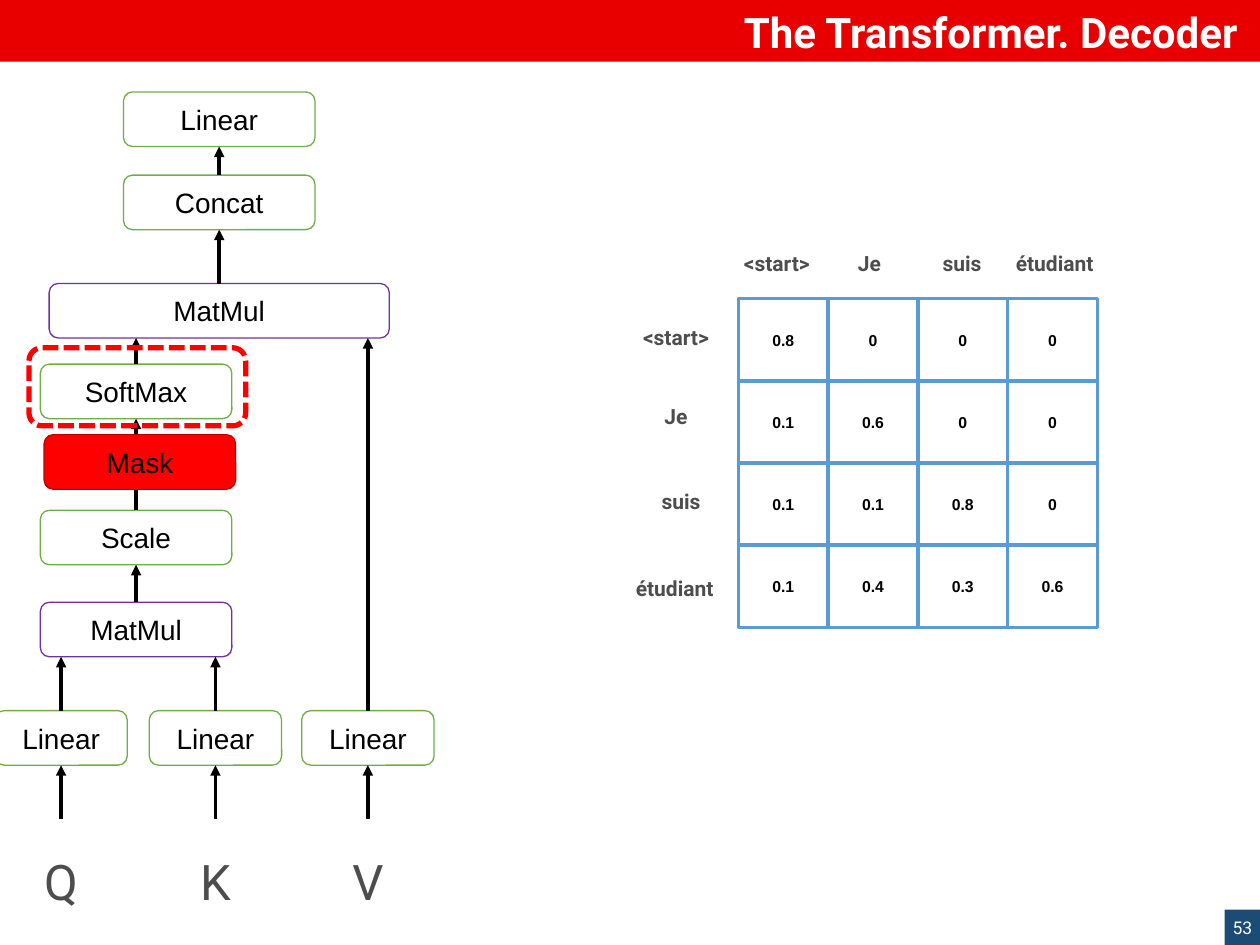
from dataclasses import dataclass

from lxml.etree import SubElement
from pptx import Presentation
from pptx.dml.color import RGBColor
from pptx.enum.dml import MSO_LINE_DASH_STYLE as Dash
from pptx.enum.shapes import MSO_CONNECTOR as Connector, MSO_SHAPE as Shape
from pptx.enum.text import MSO_ANCHOR as Anchor, PP_ALIGN as Align
from pptx.oxml.ns import qn
from pptx.util import Inches, Pt

COLORS = {
    "header": "E80000", "badge": "1C4C76", "white": "FFFFFF", "black": "000000",
    "green": "70AD47", "purple": "7030A0", "red": "FF0000", "dark_red": "C00000",
    "blue": "5B9BD5", "gray": "4D4D4D",
}
COLUMNS, ROWS = 100, 75
WIDTH, HEIGHT = Inches(10), Inches(7.5)
TOP, BOTTOM = 0, 2

WORDS = ["<start>", "Je", "suis", "étudiant"]
WEIGHTS = [
    ["0.8", "0", "0", "0"],
    ["0.1", "0.6", "0", "0"],
    ["0.1", "0.1", "0.8", "0"],
    ["0.1", "0.4", "0.3", "0.6"],
]


@dataclass
class Box:
    """A rectangle measured in columns and rows of the slide grid."""
    left: float
    top: float
    width: float
    height: float

    def inner(self, left, top, width, height):
        return Box(self.left + left, self.top + top, width, height)

    def emu(self):
        return (*grid_point(self.left, self.top), *grid_point(self.width, self.height))


def grid_point(column, row):
    return round(column * WIDTH / COLUMNS), round(row * HEIGHT / ROWS)


def rgb(name):
    return RGBColor.from_string(COLORS[name])


def write(shape, text, size, font="Arial", color="black", bold=False,
          align=Align.CENTER, anchor=Anchor.MIDDLE):
    frame = shape.text_frame
    frame.word_wrap = True
    frame.vertical_anchor = anchor
    frame.text = text
    para = frame.paragraphs[0]
    para.alignment = align
    for span in para.runs:
        span.font.name = font
        span.font.size = Pt(size)
        span.font.bold = bold
        span.font.color.rgb = rgb(color)


def add_label(page, box, text, size, **style):
    label = page.shapes.add_textbox(*box.emu())
    write(label, text, size, font="Roboto", **style)


def add_block(page, box, kind, fill=None, line=None, line_width=0.75):
    block = page.shapes.add_shape(kind, *box.emu())
    block.shadow.inherit = False
    if fill:
        block.fill.solid()
        block.fill.fore_color.rgb = rgb(fill)
    else:
        block.fill.background()
    if line:
        block.line.color.rgb = rgb(line)
        block.line.width = Pt(line_width)
    else:
        block.line.fill.background()
    return block


def add_arrow(page, column, start_row, end_row, source=None, target=None):
    """Draw an upward arrow, joined to the source's top and the target's bottom."""
    arrow = page.shapes.add_connector(
        Connector.STRAIGHT, *grid_point(column, start_row), *grid_point(column, end_row))
    if source is not None:
        arrow.begin_connect(source, TOP)
    if target is not None:
        arrow.end_connect(target, BOTTOM)
    arrow.line.color.rgb = rgb("black")
    arrow.line.width = Pt(2)
    properties = arrow._element.spPr
    SubElement(properties.find(qn("a:ln")), qn("a:tailEnd"), type="triangle")
    SubElement(properties, qn("a:effectLst"))


def draw_header(page, box):
    add_block(page, box, Shape.RECTANGLE, fill="header")
    add_label(page, box.inner(14.2, 1, 85, 3.3), "The Transformer. Decoder", 24,
              color="white", bold=True, align=Align.RIGHT)


def draw_page_number(page, box):
    badge = add_block(page, box, Shape.RECTANGLE, fill="badge")
    write(badge, "53", 10, font="Roboto", color="white")
    frame = badge.text_frame
    frame.margin_left = frame.margin_right = Inches(0.04)
    frame.margin_top = frame.margin_bottom = Inches(0.04)


def draw_attention(page, box):
    layer_height = 4.33

    def layer(text, left, top, width=15.2, fill=None, line="green"):
        block = add_block(page, box.inner(left, top, width, layer_height),
                          Shape.ROUNDED_RECTANGLE, fill, line)
        write(block, text, 16)
        return block

    linear = layer("Linear", 9.8, 0)
    concat = layer("Concat", 9.8, 6.6)
    value_product = layer("MatMul", 3.9, 15.2, width=27, line="purple")
    softmax = layer("SoftMax", 3.2, 21.6)
    scale = layer("Scale", 3.2, 33.2)
    score_product = layer("MatMul", 3.2, 40.5, width=15.2, line="purple")

    for source, target in [(concat, linear), (value_product, concat),
                           (scale, softmax), (score_product, scale)]:
        add_arrow(page, 0, 0, 0, source, target)
    value_bottom = box.top + 15.2 + layer_height
    score_bottom = box.top + 40.5 + layer_height
    add_arrow(page, box.left + 10.8, box.top + 21.6, value_bottom, source=softmax)

    input_top, input_width = 49.1, 10.5
    for letter, center, target_row in [("Q", 4.85, score_bottom), ("K", 17.1, score_bottom),
                                       ("V", 29.2, value_bottom)]:
        projection = layer("Linear", center - input_width / 2, input_top, input_width)
        column = box.left + center
        add_arrow(page, column, box.top + input_top, target_row, source=projection)
        add_arrow(page, column, box.top + 57.7, box.top + 53.4, target=projection)
        add_label(page, box.inner(center - 2.5, 60.3, 5, 4.6), letter, 28, color="gray")

    highlight = add_block(page, box.inner(2.3, 20.3, 17.2, 6.2), Shape.ROUNDED_RECTANGLE,
                          line="red", line_width=3)
    highlight.line.dash_style = Dash.SQUARE_DOT
    layer("Mask", 3.5, 27.2, fill="red", line="dark_red")


def draw_weights(page, box):
    """Draw the attention matrix in the box, with words above and to the left."""
    cell_width = box.width / len(WORDS)
    cell_height = box.height / len(WORDS)
    for row, values in enumerate(WEIGHTS):
        for column, value in enumerate(values):
            cell = add_block(
                page, box.inner(column * cell_width, row * cell_height, cell_width, cell_height),
                Shape.RECTANGLE, fill="white", line="blue", line_width=2)
            write(cell, value, 9, bold=True)

    row_offsets = [(-9.9, 1.6), (-9.9, 7.8), (-9.5, 14.6), (-10, 21.5)]
    for index, (word, row_offset) in enumerate(zip(WORDS, row_offsets)):
        for left, top in [(-1.9 + index * 7.35, -4.3), row_offset]:
            add_label(page, box.inner(left, top, 9.9, 3.5), word, 12,
                      color="gray", bold=True, anchor=Anchor.TOP)


def main():
    deck = Presentation()
    deck.slide_width, deck.slide_height = WIDTH, HEIGHT
    page = deck.slides.add_slide(deck.slide_layouts[6])
    draw_header(page, Box(0, -0.1, COLUMNS, 5))
    draw_page_number(page, Box(97.2, 72.2, 2.8, 2.8))
    draw_attention(page, Box(0, 7.3, 34.5, 65))
    draw_weights(page, Box(58.6, 23.7, 28.5, 26.1))
    deck.save("out.pptx")


if __name__ == "__main__":
    main()
